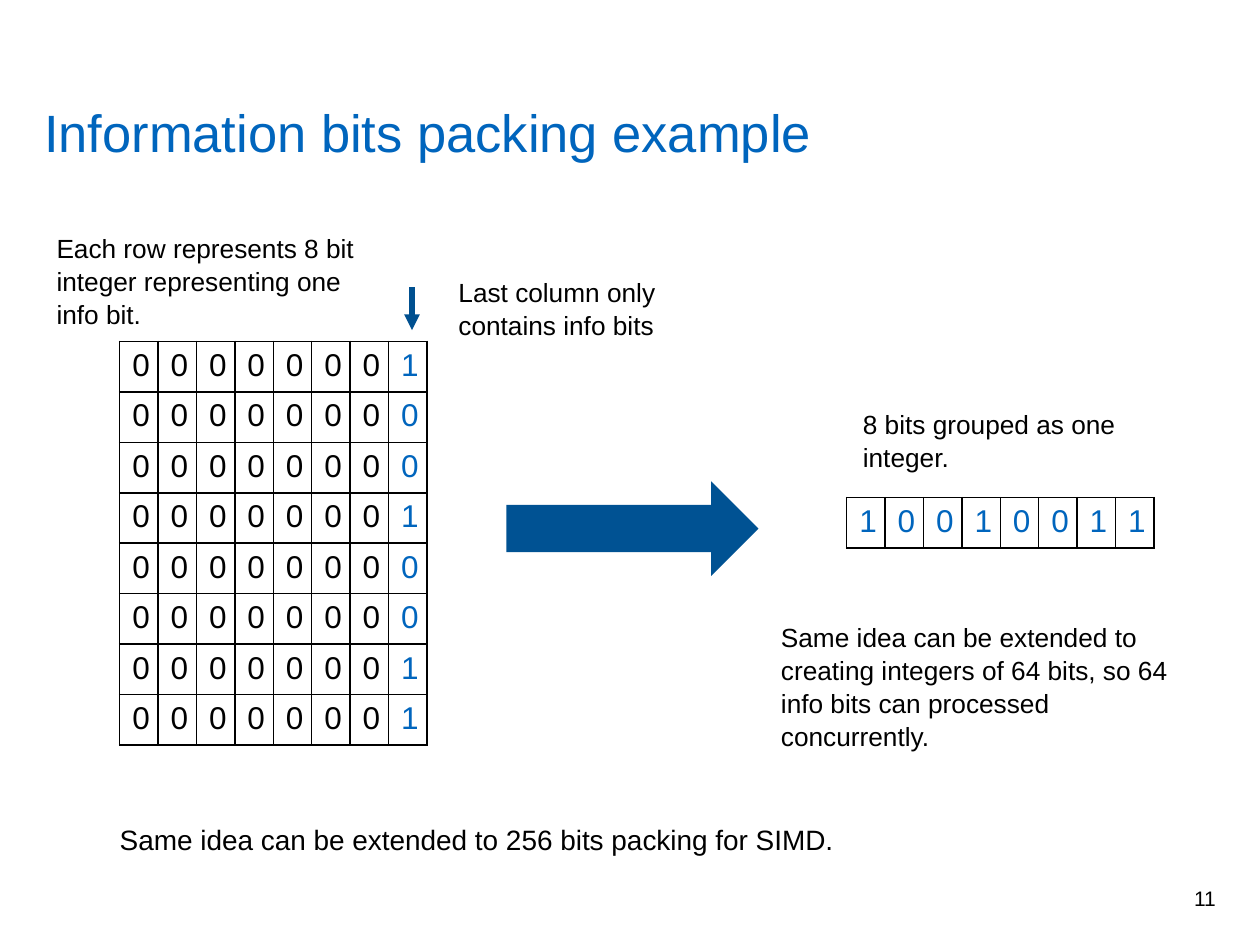
"""Builds the slide that explains how information bits are packed."""
from dataclasses import dataclass

from lxml.etree import SubElement
from pptx import Presentation
from pptx.dml.color import RGBColor as Color
from pptx.enum.shapes import MSO_CONNECTOR as Connector, MSO_SHAPE as Shape
from pptx.enum.text import MSO_ANCHOR as Anchor, PP_ALIGN as Align
from pptx.oxml.ns import qn
from pptx.util import Inches, Pt


@dataclass(frozen=True)
class Theme:
    font: str = "Arial"
    text: str = "000000"
    accent: str = "0065BD"
    arrow: str = "005293"
    pointer: str = "005090"
    title_size: int = 30
    cell_size: int = 18
    closing_size: int = 16
    note_size: int = 15
    number_size: int = 12


class Deck:
    columns, rows = 100, 75

    def __init__(self, theme):
        self.theme = theme
        self.presentation = Presentation()
        self.presentation.slide_width = Inches(10)
        self.presentation.slide_height = Inches(7.5)
        self.slide = self.presentation.slides.add_slide(self.presentation.slide_layouts[6])

    def across(self, count):
        return round(self.presentation.slide_width * count / self.columns)

    def down(self, count):
        return round(self.presentation.slide_height * count / self.rows)

    def box(self, left, top, width, height):
        return self.across(left), self.down(top), self.across(width), self.down(height)

    def style(self, paragraph, size, color):
        paragraph.font.name = self.theme.font
        paragraph.font.size = Pt(size)
        paragraph.font.color.rgb = Color.from_string(color)

    def text(self, words, place, size, color=None, spacing=1.0, inset=0.0,
             align=Align.LEFT, anchor=Anchor.TOP):
        frame = self.slide.shapes.add_textbox(*self.box(*place)).text_frame
        frame.word_wrap = True
        frame.vertical_anchor = anchor
        frame.margin_left = frame.margin_right = self.across(inset)
        frame.margin_top = frame.margin_bottom = self.down(inset / 2)
        paragraph = frame.paragraphs[0]
        paragraph.text = words
        paragraph.alignment = align
        paragraph.line_spacing = spacing
        self.style(paragraph, size, color or self.theme.text)

    def note(self, words, *place):
        self.text(words, place, self.theme.note_size, spacing=1.05, inset=1)

    def border(self, cell):
        properties = cell._tc.get_or_add_tcPr()
        for position, side in enumerate(("a:lnL", "a:lnR", "a:lnT", "a:lnB")):
            line = SubElement(properties, qn(side), w=str(Pt(1)))
            fill = SubElement(line, qn("a:solidFill"))
            SubElement(fill, qn("a:srgbClr"), val=self.theme.text)
            properties.insert(position, line)

    def bit_table(self, bit_rows, left, top, cell_width, cell_height, info_from):
        row_count, column_count = len(bit_rows), len(bit_rows[0])
        place = self.box(left, top, cell_width * column_count, cell_height * row_count)
        table = self.slide.shapes.add_table(row_count, column_count, *place).table
        table.first_row = table.horz_banding = False
        for row, bits in enumerate(bit_rows):
            for column, bit in enumerate(bits):
                cell = table.cell(row, column)
                cell.text = bit
                cell.fill.background()
                color = self.theme.accent if column >= info_from else self.theme.text
                self.style(cell.text_frame.paragraphs[0], self.theme.cell_size, color)
                self.border(cell)

    def block_arrow(self, *place):
        shape = self.slide.shapes.add_shape(Shape.RIGHT_ARROW, *self.box(*place))
        shape.shadow.inherit = False
        shape.fill.solid()
        shape.fill.fore_color.rgb = Color.from_string(self.theme.arrow)
        shape.line.fill.background()

    def pointer(self, column, start, end):
        connector = self.slide.shapes.add_connector(
            Connector.STRAIGHT, self.across(column), self.down(start),
            self.across(column), self.down(end))
        connector.line.color.rgb = Color.from_string(self.theme.pointer)
        connector.line.width = Pt(3)
        SubElement(connector.line._get_or_add_ln(), qn("a:tailEnd"), type="triangle")
        SubElement(connector._element.spPr, qn("a:effectLst"))


theme = Theme()
deck = Deck(theme)
info_bits = "10010011"

deck.text("11", (74.1, 69.3, 22.4, 4), theme.number_size,
          align=Align.RIGHT, anchor=Anchor.MIDDLE)
deck.text("Information bits packing example", (3.5, 8.5, 93.1, 4.5),
          theme.title_size, theme.accent, spacing=Pt(32))
deck.bit_table(["0" * 7 + bit for bit in info_bits], 9.5, 27.1, 3.05, 3.8, info_from=7)
deck.pointer(32.7, 22.8, 26.2)
deck.note("Last column only contains info bits", 35.4, 21.3, 25, 6.1)
deck.block_arrow(40.2, 38.2, 20, 7.5)
deck.bit_table([info_bits], 67.2, 39.5, 3.05, 4, info_from=0)
deck.note("8 bits grouped as one integer.", 67.5, 31.8, 23, 6.1)
deck.note("Each row represents 8 bit integer representing one info bit.", 3.5, 17.8, 27.5, 8.6)
deck.note("Same idea can be extended to creating integers of 64 bits, "
          "so 64 info bits can processed concurrently.", 61, 48.7, 35, 11.1)
deck.text("Same idea can be extended to 256 bits packing for SIMD.",
          (9.5, 64.9, 80.9, 2.8), theme.closing_size, spacing=1.14)
deck.presentation.save("out.pptx")
